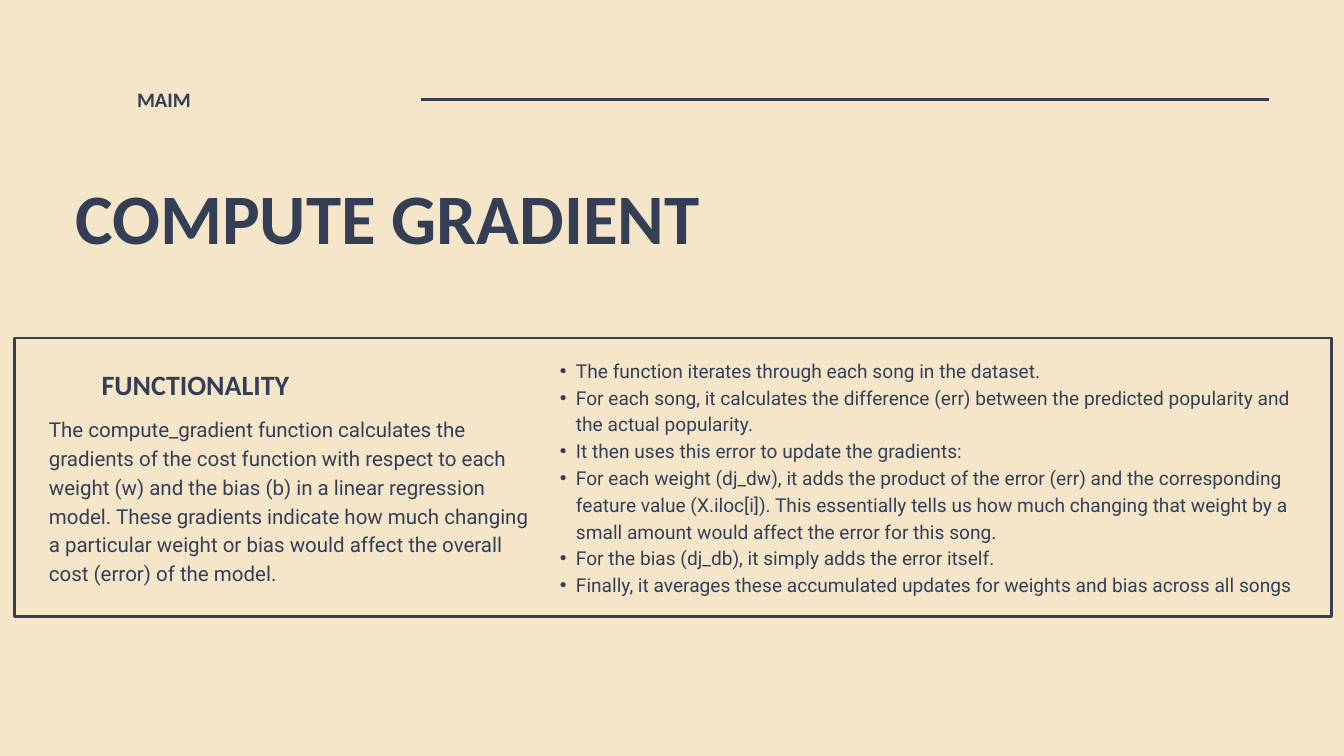
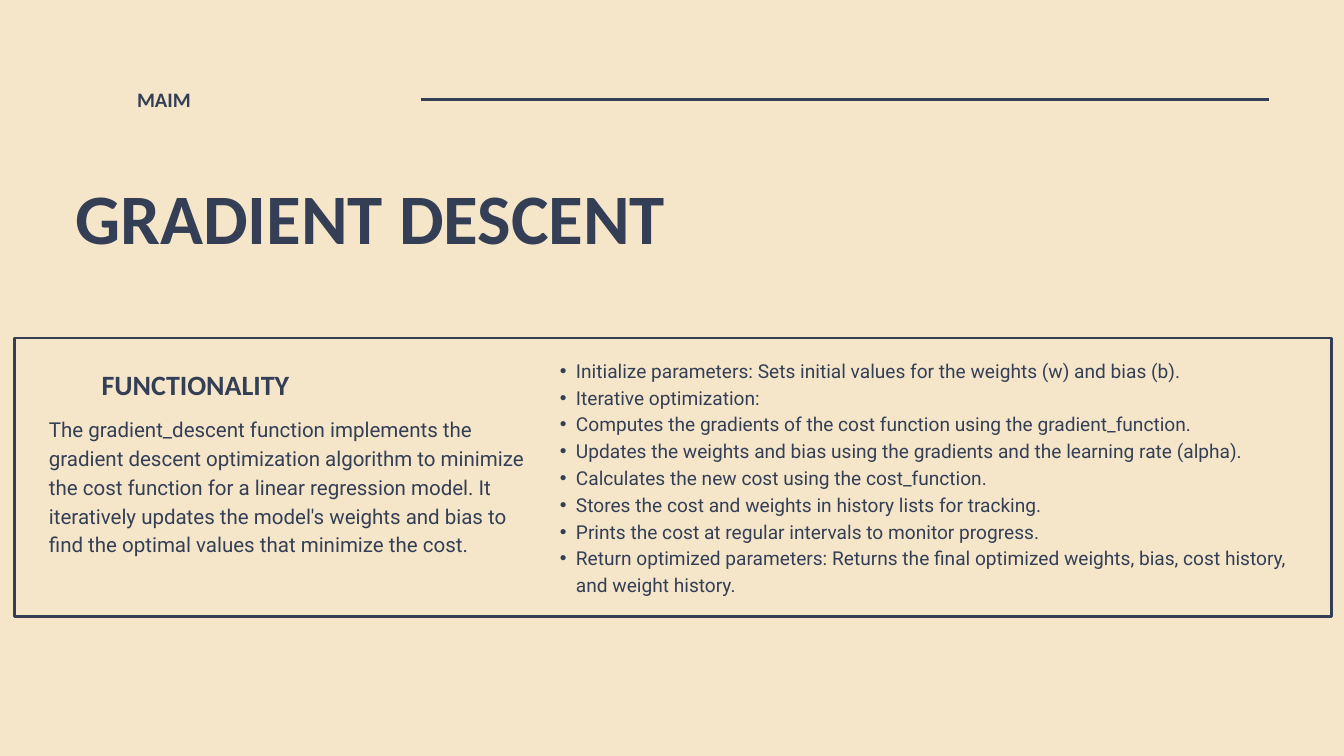
from lxml import etree
from pptx import Presentation
from pptx.dml.color import RGBColor
from pptx.enum import shapes, text
from pptx.oxml.ns import qn
from pptx.util import Cm, Pt

# Content: title, what it does, height of that text in cm, steps
TAG = "MAIM"
HEAD = "FUNCTIONALITY"
PAGES = [
    ("COMPUTE GRADIENT",
     "The compute_gradient function calculates the gradients of the cost function with "
     "respect to each weight (w) and the bias (b) in a linear regression model. These "
     "gradients indicate how much changing a particular weight or bias would affect the "
     "overall cost (error) of the model.",
     6.48,
     ["The function iterates through each song in the dataset.",
      "For each song, it calculates the difference (err) between the predicted popularity "
      "and the actual popularity.",
      "It then uses this error to update the gradients:",
      "For each weight (dj_dw), it adds the product of the error (err) and the corresponding "
      "feature value (X.iloc[i]). This essentially tells us how much changing that weight by "
      "a small amount would affect the error for this song.",
      "For the bias (dj_db), it simply adds the error itself.",
      "Finally, it averages these accumulated updates for weights and bias across all songs"]),
    ("GRADIENT DESCENT",
     "The gradient_descent function implements the gradient descent optimization algorithm "
     "to minimize the cost function for a linear regression model. It iteratively updates "
     "the model's weights and bias to find the optimal values that minimize the cost.",
     5.41,
     ["Initialize parameters: Sets initial values for the weights (w) and bias (b).",
      "Iterative optimization:",
      "Computes the gradients of the cost function using the gradient_function.",
      "Updates the weights and bias using the gradients and the learning rate (alpha).",
      "Calculates the new cost using the cost_function.",
      "Stores the cost and weights in history lists for tracking.",
      "Prints the cost at regular intervals to monitor progress.",
      "Return optimized parameters: Returns the final optimized weights, bias, cost history, "
      "and weight history."]),
]

# Shared look: font, size, line pitch, bold
SAND = RGBColor(0xF5, 0xE6, 0xCA)
NAVY = RGBColor(0x34, 0x3F, 0x56)
TITLE = ("Calibri", 76, 76, True)
LABEL = ("Calibri", 22, 30.8, True)
SUB = ("Calibri", 30, 42, True)
PLAIN = ("Roboto", 22, 30.8, False)
LIST = ("Roboto", 20.5, 28.7, False)


def write(box, area, lines, style, dot=False):
    """Place a text shape and fill it with one paragraph per line."""
    font, size, pitch, bold = style
    box.left, box.top, box.width, box.height = map(Cm, area)
    frame = box.text_frame
    frame.word_wrap = True
    frame.auto_size = text.MSO_AUTO_SIZE.SHAPE_TO_FIT_TEXT
    frame.vertical_anchor = text.MSO_ANCHOR.TOP
    frame.margin_left = frame.margin_right = frame.margin_top = frame.margin_bottom = 0
    for i, line in enumerate(lines):
        para = frame.add_paragraph() if i else frame.paragraphs[0]
        para.alignment = text.PP_ALIGN.LEFT
        para.line_spacing = Pt(pitch)
        para.space_before = para.space_after = Pt(0)
        if dot:
            bullet(para)
        run = para.add_run()
        run.text = line
        run.font.name, run.font.size, run.font.bold = font, Pt(size), bold
        run.font.color.rgb = NAVY


def bullet(para):
    para.level = 1
    props = para._p.get_or_add_pPr()
    props.set("marL", str(Cm(1.22)))
    props.set("indent", str(-Cm(0.61)))
    etree.SubElement(props, qn("a:buFont")).set("typeface", "Arial")
    etree.SubElement(props, qn("a:buChar")).set("char", "•")


def ink(line):
    line.color.rgb = NAVY
    line.width = Pt(3)


def build(deck, title, about, tall, steps):
    slide = deck.slides.add_slide(deck.slide_layouts[1])
    parts = slide.shapes

    def label(area, line, style):
        write(parts.add_textbox(0, 0, 0, 0), area, [line], style)

    # Header
    write(parts.title, (2.84, 7.11, 45.08, 2.92), [title], TITLE)
    label((5.18, 3.15, 9.96, 1.07), TAG, LABEL)
    rule = parts.add_connector(shapes.MSO_CONNECTOR.STRAIGHT,
                               Cm(15.9), Cm(3.76), Cm(47.96), Cm(3.76))
    ink(rule.line)
    etree.SubElement(rule._element.spPr, qn("a:effectLst"))

    # Framed panel
    panel = parts.add_shape(shapes.MSO_SHAPE.RECTANGLE,
                            Cm(0.56), Cm(12.78), Cm(49.76), Cm(10.52))
    panel.shadow.inherit = False
    panel.fill.background()
    ink(panel.line)
    label((3.84, 13.69, 13.77, 1.5), HEAD, SUB)
    label((1.85, 15.62, 18.36, tall), about, PLAIN)
    write(slide.placeholders[1], (20.55, 13.44, 29.39, 9.07), steps, LIST, dot=True)


def main():
    deck = Presentation()
    deck.slide_width, deck.slide_height = Cm(50.8), Cm(28.58)
    fill = deck.slide_master.background.fill
    fill.solid()
    fill.fore_color.rgb = SAND
    for page in PAGES:
        build(deck, *page)
    deck.save("out.pptx")


if __name__ == "__main__":
    main()
